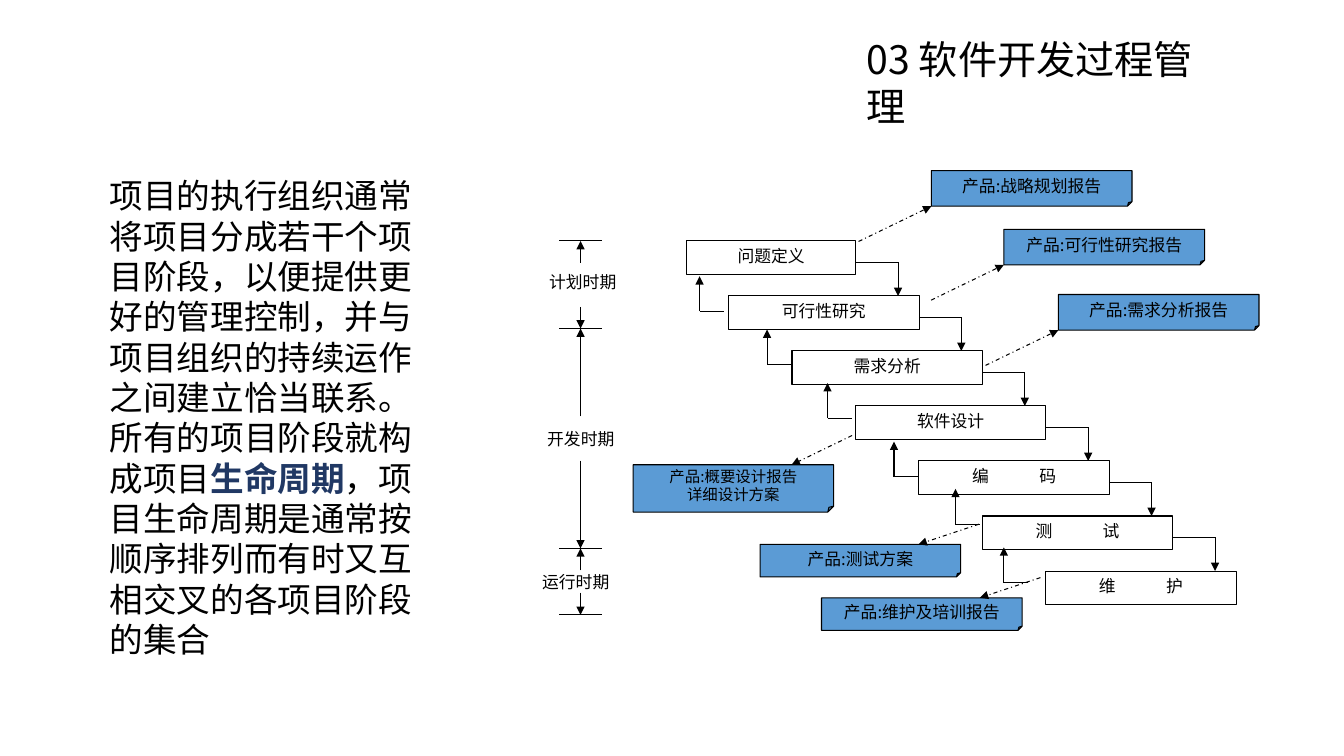
from lxml.etree import SubElement
from pptx import Presentation
from pptx.dml.color import RGBColor
from pptx.enum.dml import MSO_LINE
from pptx.enum.shapes import MSO_CONNECTOR, MSO_SHAPE
from pptx.enum.text import MSO_ANCHOR, PP_ALIGN
from pptx.oxml.ns import qn
from pptx.util import Pt

FONT = "Noto Sans CJK SC"
BLACK = "000000"
WHITE = "FFFFFF"
BLUE = "5B9BD5"
NAVY = "203864"

STEP_TOP, STEP_PITCH, STEP_HEIGHT = 172.1, 39.3, 23.7
STEP_LEFT, STEP_SHIFT, STEP_WIDTH = 475.1, 45.3, 136.1
FIRST_LEFT, FIRST_WIDTH = 490.3, 121
STEPS = [
    [("问题定义", 0)],
    [("可行性研究", 0)],
    [("需求分析", 0)],
    [("软件设计", 0)],
    [("编", 36), ("码", 0)],
    [("测", 36), ("试", 0)],
    [("维", 36), ("护", 0)],
]
RETURN_STARTS = [
    (517, 222.5), (565.2, 260.6), (608.4, 298.8),
    (655.9, 340.6), (699.8, 374.4), (734.4, 416.2),
]
PLANNING_PRODUCTS = [
    (665.3, 121.9, "产品:战略规划报告"),
    (717.1, 163.8, "产品:可行性研究报告"),
    (756, 210.4, "产品:需求分析报告"),
]
LATER_PRODUCTS = [
    (452.2, 332, 33.8, 20.9, 11, ["产品:概要设计报告", "详细设计方案"]),
    (542.9, 388.8, 23.3, 14.4, 12, ["产品:测试方案"]),
    (586.8, 427, 23.3, 14.4, 12, ["产品:维护及培训报告"]),
]
PERIODS = [
    ("计划时期", 385.2, 190.8, 172.1, 234.7, 15.5),
    ("开发时期", 383.8, 302.4, 234.7, 391.7, 62.7),
    ("运行时期", 380.2, 404.6, 391.7, 439.2, 15.8),
]


def color(value):
    return RGBColor.from_string(value)


def add_run(paragraph, text, size, hue=BLACK, bold=False, spacing=0):
    run = paragraph.add_run()
    run.text = text
    run.font.size = Pt(size)
    run.font.name = FONT
    run.font.bold = bold
    run.font.color.rgb = color(hue)
    properties = run.font._element
    SubElement(properties, qn("a:ea")).set("typeface", FONT)
    if spacing:
        properties.set("spc", str(spacing * 100))


def style_paragraph(paragraph, size, alignment=PP_ALIGN.LEFT):
    paragraph.alignment = alignment
    paragraph.line_spacing = Pt(size * 1.2)


def add_text(slide, left, top, width, height, size, runs, wrap=True):
    box = slide.shapes.add_textbox(Pt(left), Pt(top), Pt(width), Pt(height))
    box.text_frame.word_wrap = wrap
    paragraph = box.text_frame.paragraphs[0]
    style_paragraph(paragraph, size)
    for text, hue, bold in runs:
        add_run(paragraph, text, size, hue, bold)


def add_box(slide, kind, left, top, width, height, fill, size, lines):
    shape = slide.shapes.add_shape(kind, Pt(left), Pt(top), Pt(width), Pt(height))
    shape.shadow.inherit = False
    shape.fill.solid()
    shape.fill.fore_color.rgb = color(fill)
    shape.line.color.rgb = color(BLACK)
    shape.line.width = Pt(0.75)
    frame = shape.text_frame
    frame.vertical_anchor = MSO_ANCHOR.TOP
    for index, runs in enumerate(lines):
        paragraph = frame.add_paragraph() if index else frame.paragraphs[0]
        style_paragraph(paragraph, size, PP_ALIGN.CENTER)
        for text, spacing in runs:
            add_run(paragraph, text, size, spacing=spacing)
    return shape


def add_line(slide, start, end, arrow=False, dashed=False):
    points = [Pt(value) for value in (*start, *end)]
    connector = slide.shapes.add_connector(MSO_CONNECTOR.STRAIGHT, *points)
    connector.line.color.rgb = color(BLACK)
    connector.line.width = Pt(0.75)
    if dashed:
        connector.line.dash_style = MSO_LINE.DASH_DOT
    properties = connector._element.spPr
    if arrow:
        SubElement(properties.find(qn("a:ln")), qn("a:tailEnd")).set("type", "triangle")
    SubElement(properties, qn("a:effectLst"))


def add_elbow(slide, start, corner, end):
    add_line(slide, start, corner)
    add_line(slide, corner, end, arrow=True)


def add_product(slide, left, top, height, size, lines):
    shape = add_box(slide, MSO_SHAPE.FOLDED_CORNER, left, top, 143.3, height,
                    BLUE, size, [[(line, 0)] for line in lines])
    fold = SubElement(shape._element.spPr.prstGeom.find(qn("a:avLst")), qn("a:gd"))
    fold.set("name", "adj")
    fold.set("fmla", "val 12500")
    shape.text_frame.vertical_anchor = MSO_ANCHOR.MIDDLE
    shape.text_frame.word_wrap = False


def add_steps(slide):
    for index, runs in enumerate(STEPS):
        top = STEP_TOP + index * STEP_PITCH
        left = STEP_LEFT + index * STEP_SHIFT if index else FIRST_LEFT
        width = STEP_WIDTH if index else FIRST_WIDTH
        add_box(slide, MSO_SHAPE.RECTANGLE, left, top, width, STEP_HEIGHT,
                WHITE, 12, [runs])
        if index < len(STEPS) - 1:
            right, middle = left + width, top + 15.3
            add_elbow(slide, (right, middle), (right + 30.2, middle),
                      (right + 30.2, top + STEP_PITCH))
    for x, y in RETURN_STARTS:
        add_elbow(slide, (x, y), (x - 17.3, y), (x - 17.3, y - 25.2))


def add_products(slide):
    for left, top, text in PLANNING_PRODUCTS:
        bottom = top + 25.4
        add_product(slide, left, top, 25.4, 12, [text])
        add_line(slide, (left - 52, bottom + 25.2), (left, bottom),
                 arrow=True, dashed=True)
    for left, top, height, rise, size, lines in LATER_PRODUCTS:
        add_product(slide, left, top, height, size, lines)
        add_line(slide, (left + 156.4, top - rise), (left + 113.2, top),
                 arrow=True, dashed=True)


def add_timeline(slide):
    axis = 414.7
    for y in [PERIODS[0][3]] + [period[4] for period in PERIODS]:
        add_line(slide, (axis - 15.1, y), (axis + 15.1, y))
    for text, left, label_top, top, bottom, length in PERIODS:
        add_line(slide, (axis, top + length), (axis, top), arrow=True)
        add_line(slide, (axis, bottom - length), (axis, bottom), arrow=True)
        add_text(slide, left, label_top, 76.3, 31.7, 12,
                 [(text, BLACK, False)], wrap=False)


def main():
    presentation = Presentation()
    presentation.slide_width = Pt(960)
    presentation.slide_height = Pt(540)
    slide = presentation.slides.add_slide(presentation.slide_layouts[6])
    add_steps(slide)
    add_timeline(slide)
    add_products(slide)
    add_text(slide, 71.3, 121.7, 252.7, 356.4, 24, [
        ("项目的执行组织通常将项目分成若干个项目阶段，以便提供更好的管理控制，"
         "并与项目组织的持续运作之间建立恰当联系。所有的项目阶段就构成项目", BLACK, False),
        ("生命周期", NAVY, True),
        ("，项目生命周期是通常按顺序排列而有时又互相交叉的各项目阶段的集合", BLACK, False),
    ])
    add_text(slide, 612, 21.6, 274.3, 41, 28,
             [("03 软件开发过程管理", BLACK, False)])
    presentation.save("out.pptx")


if __name__ == "__main__":
    main()
